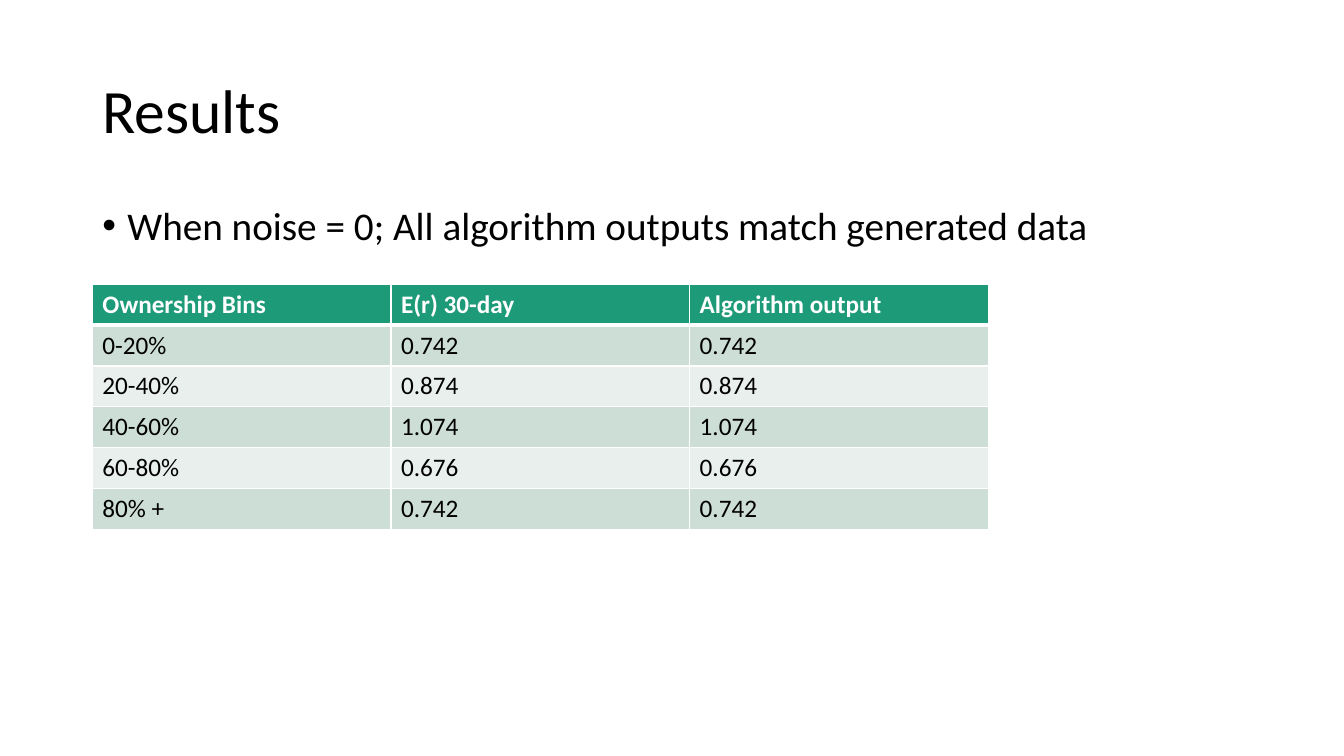
from dataclasses import dataclass

from lxml import etree
from pptx import Presentation
from pptx.dml.color import RGBColor
from pptx.enum.text import MSO_ANCHOR
from pptx.oxml.ns import qn
from pptx.util import Pt

TOP, MIDDLE = MSO_ANCHOR.TOP, MSO_ANCHOR.MIDDLE
FONT = "Calibri"
COLORS = {
    "text": "000000",
    "white": "FFFFFF",
    "header": "1D9A78",
    "band_dark": "CDDED6",
    "band_light": "E8EFEC",
}
LEFT, WIDTH = 66, 828


@dataclass
class TextBlock:
    text: str
    top: float
    height: float
    size: float
    anchor: int
    before: float = 0
    bullet: bool = False


BLOCKS = [
    TextBlock("Results", 28.75, 104.38, 44, MIDDLE),
    TextBlock("When noise = 0; All algorithm outputs match generated data",
              143.75, 342.62, 28, TOP, before=10, bullet=True),
]

HEADERS = ["Ownership Bins", "E(r) 30-day", "Algorithm output"]
RETURNS = {
    "0-20%": "0.742",
    "20-40%": "0.874",
    "40-60%": "1.074",
    "60-80%": "0.676",
    "80% +": "0.742",
}
TABLE_TOP, COL_WIDTH, ROW_HEIGHT = 203, 213.33, 29.2


def rgb(name: str) -> RGBColor:
    return RGBColor.from_string(COLORS[name])


def add_run(p, text: str, size: float, color: str, bold: bool = False) -> None:
    r = p.add_run()
    r.text = text
    r.font.name = FONT
    r.font.size = Pt(size)
    r.font.bold = bold
    r.font.color.rgb = rgb(color)


def add_bullet(p, indent: float) -> None:
    pPr = p._p.get_or_add_pPr()
    pPr.set("marL", str(Pt(indent)))
    pPr.set("indent", str(Pt(-indent)))
    etree.SubElement(pPr, qn("a:buFont")).set("typeface", "Arial")
    etree.SubElement(pPr, qn("a:buChar")).set("char", "•")


def add_text(s, block: TextBlock) -> None:
    sp = s.shapes.add_textbox(Pt(LEFT), Pt(block.top), Pt(WIDTH), Pt(block.height))
    tf = sp.text_frame
    tf.word_wrap = True
    tf.vertical_anchor = block.anchor
    p = tf.paragraphs[0]
    p.line_spacing = 0.9
    p.space_before = Pt(block.before)
    if block.bullet:
        add_bullet(p, 18)
    add_run(p, block.text, block.size, "text")


def set_borders(cell, top: float, bottom: float) -> None:
    tcPr = cell._tc.get_or_add_tcPr()
    widths = {"a:lnL": 1, "a:lnR": 1, "a:lnT": top, "a:lnB": bottom}
    for i, (tag, width) in enumerate(widths.items()):
        ln = etree.Element(qn(tag), w=str(Pt(width)))
        fill = etree.SubElement(ln, qn("a:solidFill"))
        etree.SubElement(fill, qn("a:srgbClr")).set("val", COLORS["white"])
        tcPr.insert(i, ln)


def add_results_table(s, rows: list[list[str]]) -> None:
    cols = len(rows[0])
    table = s.shapes.add_table(len(rows), cols, Pt(LEFT), Pt(TABLE_TOP),
                               Pt(COL_WIDTH * cols), Pt(ROW_HEIGHT * len(rows))).table
    for col in table.columns:
        col.width = Pt(COL_WIDTH)
    for i, values in enumerate(rows):
        table.rows[i].height = Pt(ROW_HEIGHT)
        header = i == 0
        band = "header" if header else "band_dark" if i % 2 else "band_light"
        for j, value in enumerate(values):
            cell = table.cell(i, j)
            cell.fill.solid()
            cell.fill.fore_color.rgb = rgb(band)
            set_borders(cell, top=3 if i == 1 else 1, bottom=3 if header else 1)
            add_run(cell.text_frame.paragraphs[0], value, 18,
                    "white" if header else "text", bold=header)


prs = Presentation()
prs.slide_width, prs.slide_height = Pt(960), Pt(540)
s = prs.slides.add_slide(prs.slide_layouts[6])

# Title and bullet
for block in BLOCKS:
    add_text(s, block)

# Expected return against algorithm output
add_results_table(s, [HEADERS] + [[name, value, value] for name, value in RETURNS.items()])

prs.save("out.pptx")
